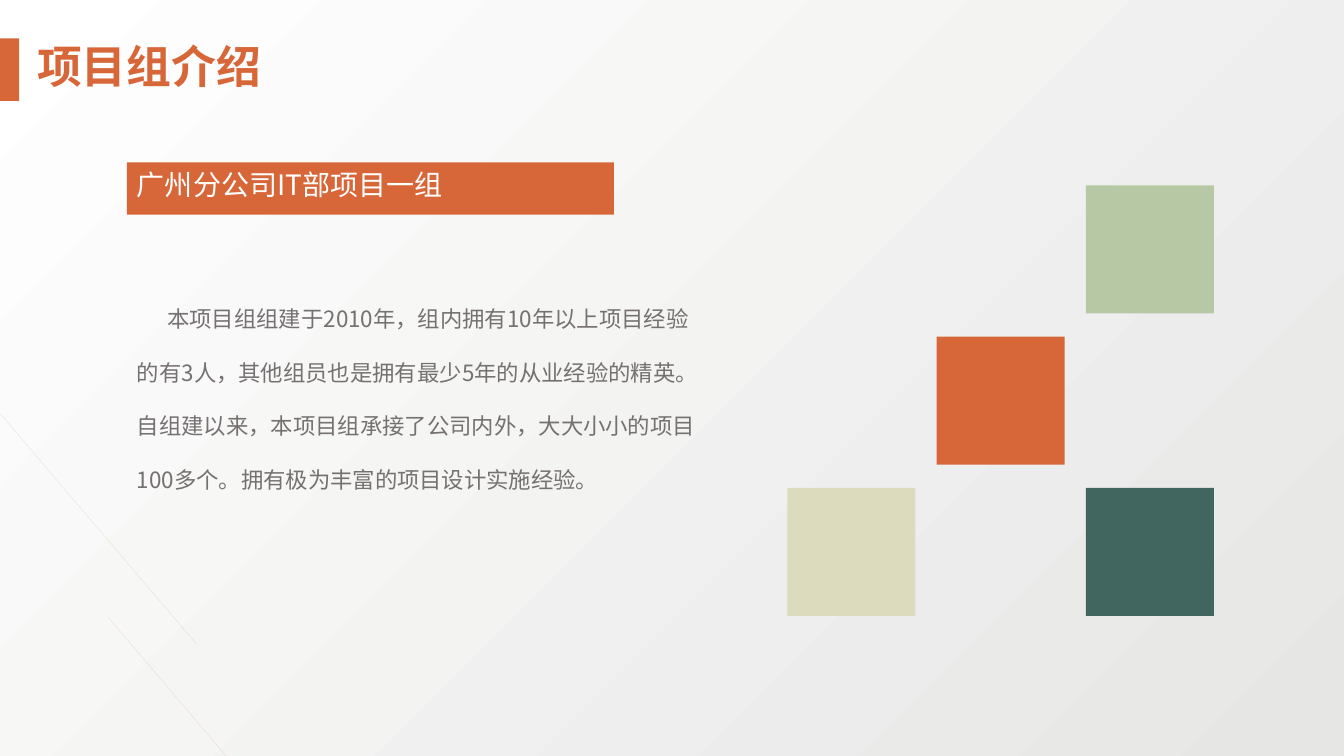
from lxml import etree
from pptx import Presentation
from pptx.dml.color import RGBColor
from pptx.enum import shapes, text
from pptx.oxml import ns
from pptx.util import Inches, Pt

ORANGE = RGBColor(0xD7, 0x67, 0x39)
GREEN = RGBColor(0xB7, 0xC8, 0xA5)
TEAL = RGBColor(0x41, 0x66, 0x60)
SAND = RGBColor(0xDD, 0xDB, 0xBD)
GREY = RGBColor(0x76, 0x71, 0x71)
PALE = RGBColor(0xE6, 0xE6, 0xE5)
WHITE = RGBColor(0xFF, 0xFF, 0xFF)
FONT = "Noto Sans CJK SC"


def add_block(x, y, w, h, color):
    sp = s.shapes.add_shape(shapes.MSO_SHAPE.RECTANGLE, *map(Inches, (x, y, w, h)))
    sp.shadow.inherit = False
    sp.fill.solid()
    sp.fill.fore_color.rgb = color
    sp.line.fill.background()


def write(sp, box, words, size, color, bold=False, wrap=True):
    """Place a text shape and fill it with one formatted paragraph."""
    sp.left, sp.top, sp.width, sp.height = map(Inches, box)
    tf = sp.text_frame
    tf.word_wrap = wrap
    tf.auto_size = text.MSO_AUTO_SIZE.NONE
    tf.vertical_anchor = text.MSO_ANCHOR.TOP
    p = tf.paragraphs[0]
    r = p.add_run()
    r.text = words
    for name, value in {"name": FONT, "size": Pt(size), "bold": bold}.items():
        setattr(r.font, name, value)
    r.font.color.rgb = color
    etree.SubElement(r.font._element, ns.qn("a:ea"), typeface=FONT)
    return p


prs = Presentation()
prs.slide_width, prs.slide_height = Inches(13.33), Inches(7.5)
s = prs.slides.add_slide(prs.slide_layouts[5])

bg = s.background.fill
bg.gradient()
bg.gradient_angle = 135
for stop, color in zip(bg.gradient_stops, (PALE, WHITE)):
    stop.color.rgb = color

# Decorative squares on a 3 x 3 grid
for col, row, color in ((2, 0, GREEN), (1, 1, ORANGE), (2, 2, TEAL), (0, 2, SAND)):
    add_block(7.81 + col * 1.48, 1.84 + row * 1.5, 1.27, 1.27, color)

# Title with its accent bar
add_block(0, 0.38, 0.19, 0.62, ORANGE)
p = write(s.shapes.title, (0.25, 0.33, 2.46, 0.67), "项目组介绍", 32, ORANGE, bold=True, wrap=False)
p.alignment = text.PP_ALIGN.CENTER

# Faint diagonal lines
for ends in ((1.07, 6.12, 2.83, 8.19), (-2.66, 0.98, 1.95, 6.39)):
    line = s.shapes.add_connector(shapes.MSO_CONNECTOR.STRAIGHT, *map(Inches, ends))
    line.line.width = Pt(0.2)
    line.line.color.rgb = ORANGE
    etree.SubElement(line._element.spPr, ns.qn("a:effectLst"))
    rgb = line._element.spPr.find(".//" + ns.qn("a:srgbClr"))
    etree.SubElement(rgb, ns.qn("a:alpha"), val="21000")

# Team introduction
intro = (
    "本项目组组建于2010年，组内拥有10年以上项目经验的有3人，"
    "其他组员也是拥有最少5年的从业经验的精英。"
    "自组建以来，本项目组承接了公司内外，大大小小的项目100多个。"
    "拥有极为丰富的项目设计实施经验。"
)
box = s.shapes.add_textbox(0, 0, 0, 0)
p = write(box, (1.26, 2.71, 5.82, 2.25), intro, 16, GREY)
p.line_spacing = 2.0
p._p.get_or_add_pPr().set("indent", str(Inches(0.3)))

# Team name banner
add_block(1.26, 1.61, 4.83, 0.52, ORANGE)
banner = s.shapes.add_textbox(0, 0, 0, 0)
write(banner, (1.26, 1.61, 4.82, 0.46), "广州分公司IT部项目一组", 20, WHITE)

prs.save("out.pptx")
